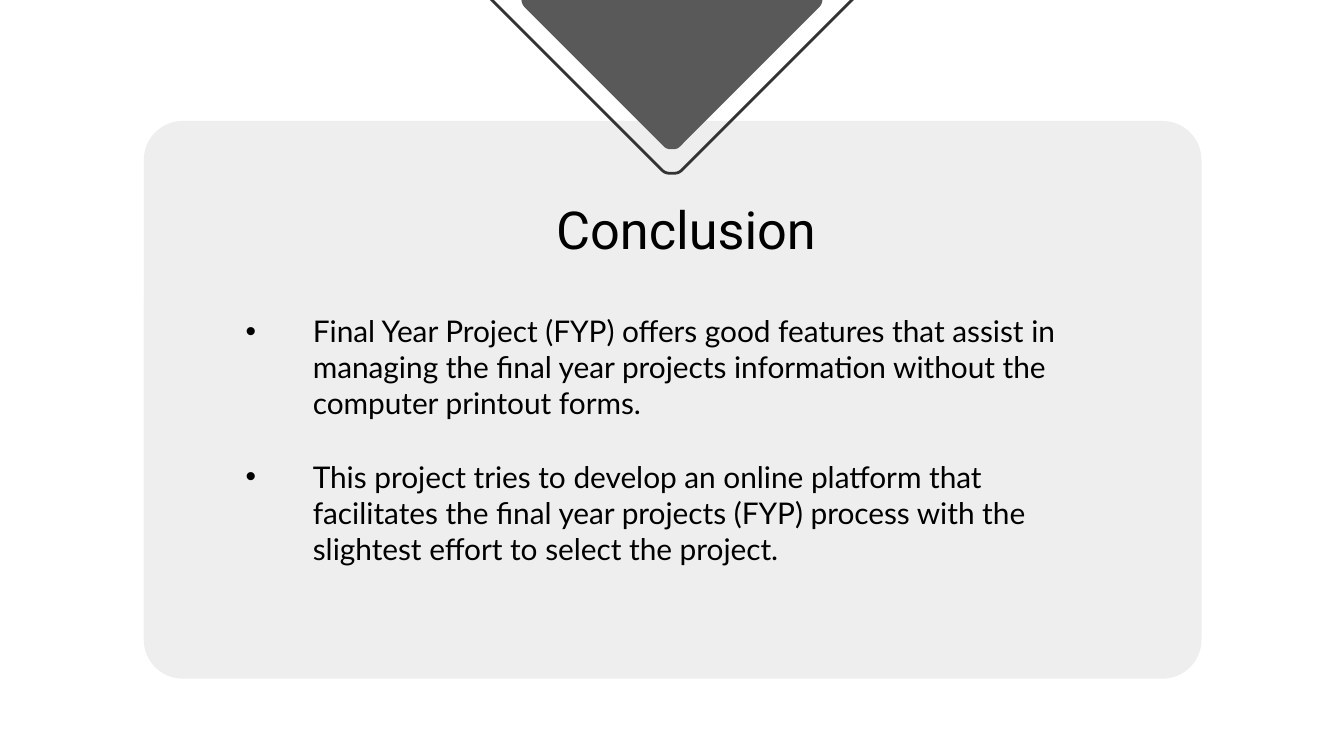
from lxml import etree
from pptx import Presentation
from pptx.dml.color import RGBColor
from pptx.enum.shapes import MSO_SHAPE
from pptx.oxml.ns import qn
from pptx.util import Inches, Pt

ROUND_RECT = MSO_SHAPE.ROUNDED_RECTANGLE
BLACK = RGBColor(0x00, 0x00, 0x00)
CHARCOAL = RGBColor(0x33, 0x33, 0x33)
GREY = RGBColor(0x59, 0x59, 0x59)
PANEL = RGBColor(0xEE, 0xEE, 0xEE)

TITLE = "Conclusion"
POINTS = [
    "Final Year Project (FYP) offers good features that assist in managing "
    "the final year projects information without the computer printout forms.",
    "This project tries to develop an online platform that facilitates the "
    "final year projects (FYP) process with the slightest effort to select the project.",
]

CENTER_X = 5
# Bezier curves of the left half of a pointer, from its centre line and top
SIDE_CURVE = [(-1.12, 0), (-1.12, 0.03), (-1.11, 0.05), (-1.09, 0.07)]
TIP_CURVE = [(-0.06, 1.1), (-0.04, 1.12), (-0.02, 1.12), (0, 1.12)]
CURVE_STEPS = 8


def bezier(curve):
    """Return points along a cubic Bezier curve."""
    points = []
    for i in range(CURVE_STEPS + 1):
        t = i / CURVE_STEPS
        weights = ((1 - t) ** 3, 3 * t * (1 - t) ** 2, 3 * t ** 2 * (1 - t), t ** 3)
        points.append(tuple(sum(w * p[axis] for w, p in zip(weights, curve))
                            for axis in (0, 1)))
    return points


def add_pointer(s, top, scale, fill=None, line=None):
    """Add a downward triangle with rounded corners."""
    left = bezier(SIDE_CURVE) + bezier(TIP_CURVE)
    right = [(-x, y) for x, y in reversed(left[:-1])]
    points = [(Inches(CENTER_X + x * scale), Inches(top + y * scale))
              for x, y in left + right]
    builder = s.shapes.build_freeform(*points[0])
    builder.add_line_segments(points[1:], close=True)
    style(builder.convert_to_shape(), fill, line)


def style(shape, fill=None, line=None):
    shape.shadow.inherit = False
    if fill is None:
        shape.fill.background()
    else:
        shape.fill.solid()
        shape.fill.fore_color.rgb = fill
    if line is None:
        shape.line.fill.background()
    else:
        shape.line.color.rgb = line
        shape.line.width = Pt(1.5)


def add_text(s, box, paragraphs, font, size, bullet=False, gap=0):
    tf = s.shapes.add_textbox(*map(Inches, box)).text_frame
    tf.word_wrap = True
    for i, text in enumerate(paragraphs):
        p = tf.add_paragraph() if i else tf.paragraphs[0]
        p.line_spacing = 1.0
        p.space_after = Pt(gap)
        r = p.add_run()
        r.text = text
        r.font.name = font
        r.font.size = Pt(size)
        r.font.color.rgb = BLACK
        if bullet:
            pPr = p._p.get_or_add_pPr()
            pPr.set("marL", str(Inches(0.51)))
            pPr.set("indent", str(Inches(-0.5)))
            etree.SubElement(pPr, qn("a:buFont")).set("typeface", "Arial")
            etree.SubElement(pPr, qn("a:buChar")).set("char", "•")


prs = Presentation()
prs.slide_width = Inches(10)
prs.slide_height = prs.slide_width * 9 // 16
s = prs.slides.add_slide(prs.slide_layouts[6])

panel = s.shapes.add_shape(ROUND_RECT, *map(Inches, (1.07, 0.9, 7.87, 4.15)))
panel.adjustments[0] = 0.07
style(panel, fill=PANEL)

add_pointer(s, top=-0.11, scale=1.25, line=CHARCOAL)
add_pointer(s, top=-0.01, scale=1, fill=GREY)

add_text(s, (4.04, 1.42, 2.79, 0.57), [TITLE], "Roboto", 28)
add_text(s, (1.72, 2.28, 6.57, 2.01), POINTS, "Lato", 16, bullet=True, gap=20.5)

prs.save("out.pptx")
